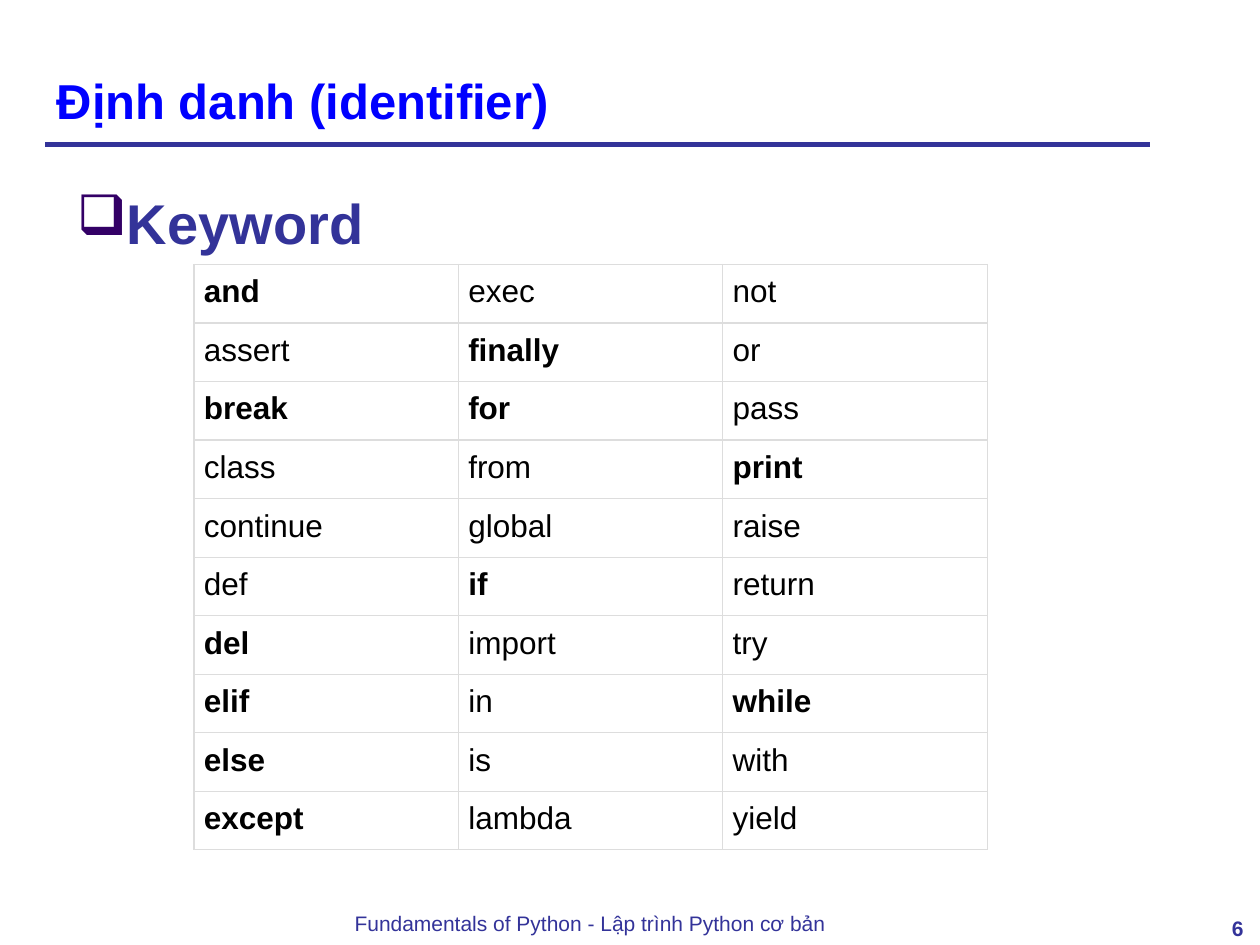
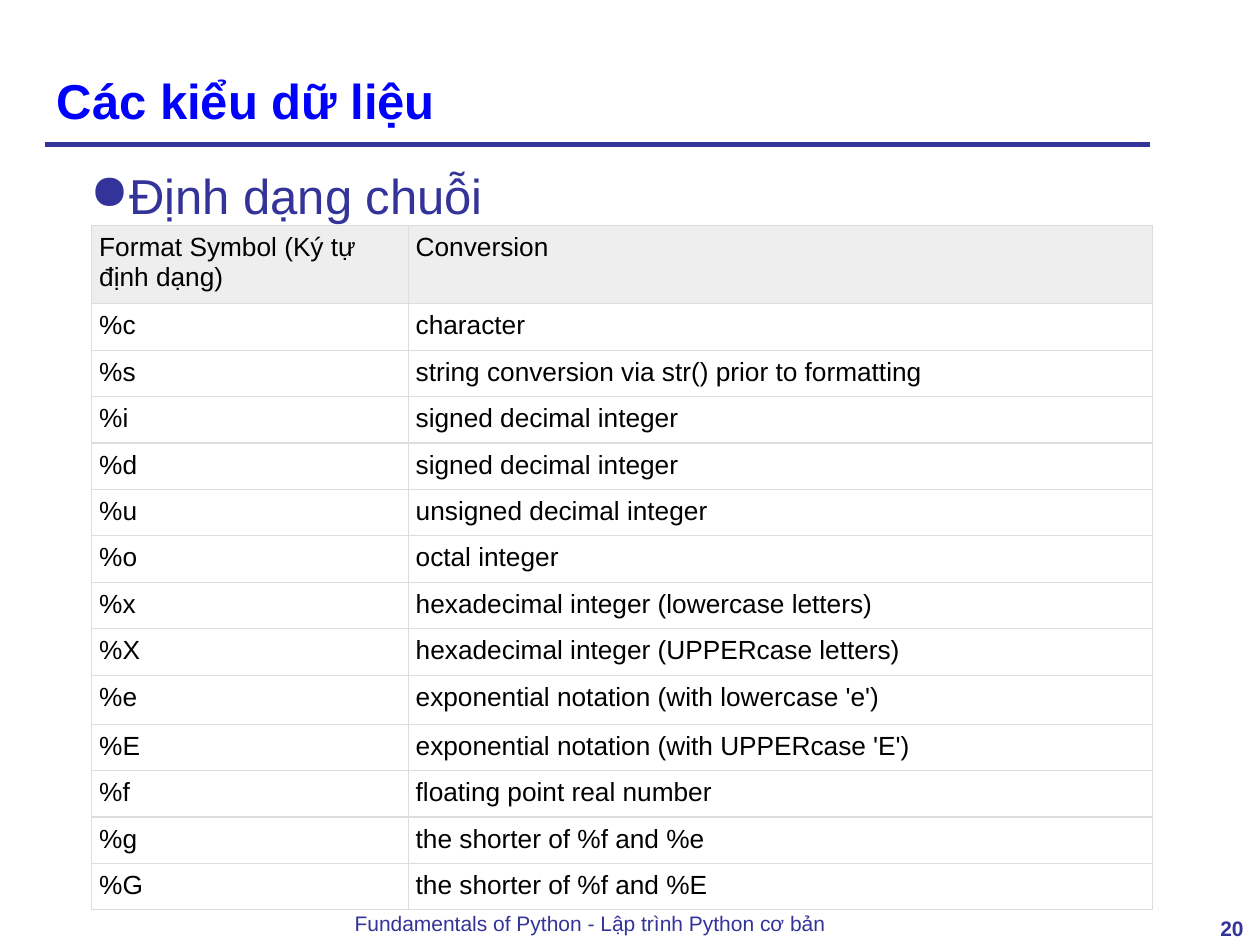
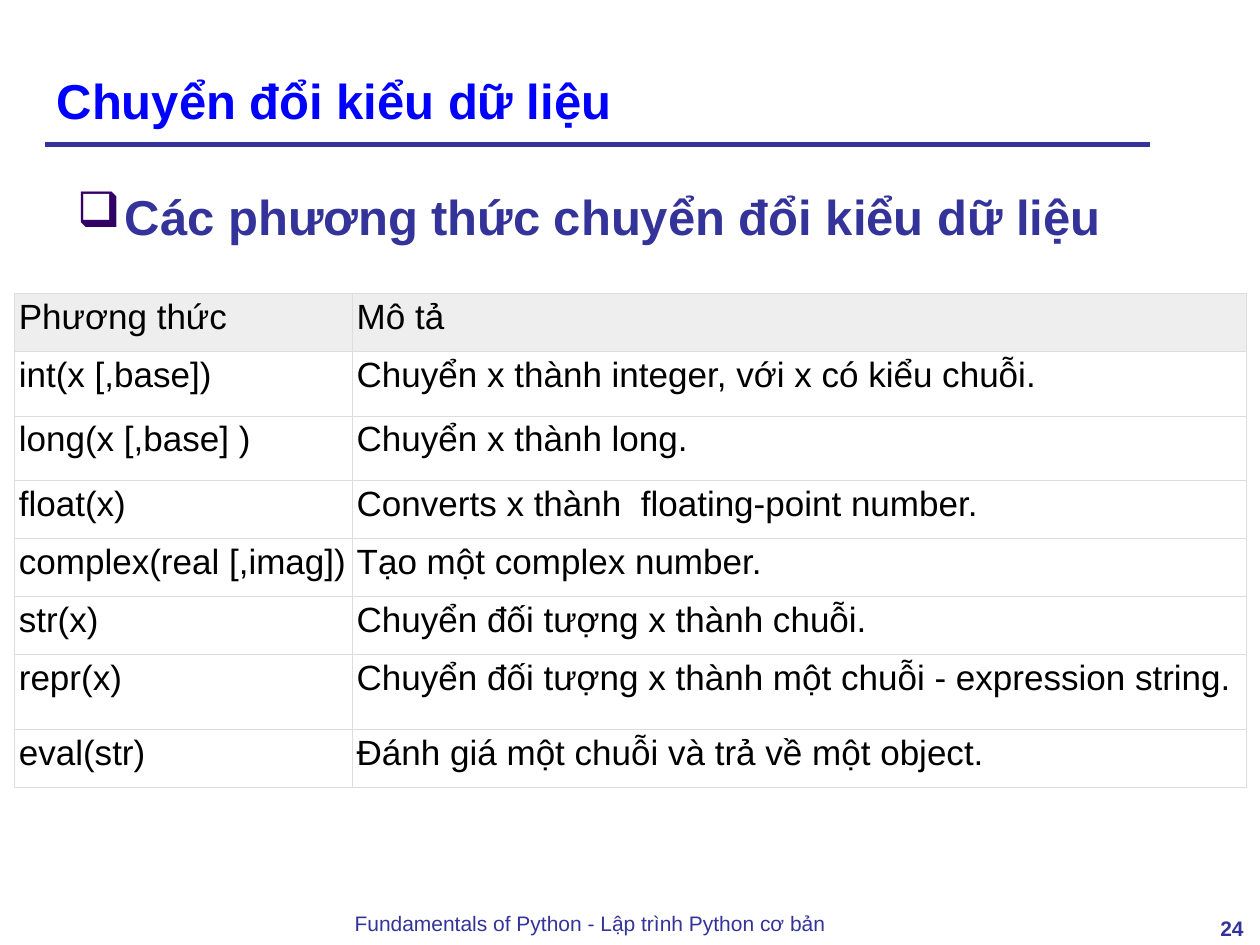
from lxml import etree
from pptx import Presentation
from pptx.dml.color import RGBColor
from pptx.enum.shapes import MSO_CONNECTOR
from pptx.enum.text import MSO_ANCHOR, MSO_AUTO_SIZE, PP_ALIGN
from pptx.oxml import parse_xml
from pptx.oxml.ns import qn
from pptx.util import Cm, Pt

LEFT, CENTER, RIGHT, JUST = PP_ALIGN.LEFT, PP_ALIGN.CENTER, PP_ALIGN.RIGHT, PP_ALIGN.JUSTIFY
BOTTOM, NO_FIT, STRAIGHT = MSO_ANCHOR.BOTTOM, MSO_AUTO_SIZE.NONE, MSO_CONNECTOR.STRAIGHT
NAVY, BLUE, PLUM, BLACK, GRID, HEAD = "333399", "0000FF", "330066", "000000", "DDDDDD", "EEEEEE"
FONT = "Arial"
FOOTER = "Fundamentals of Python - Lập trình Python cơ bản"
NS = 'xmlns:a="http://schemas.openxmlformats.org/drawingml/2006/main"'


def rgb(code):
    return RGBColor.from_string(code)


def write(frame, text, size, color, bold=False, align=LEFT):
    """Fill a text frame with one styled paragraph and return it."""
    frame.word_wrap = True
    para = frame.paragraphs[0]
    para.text, para.alignment = text, align
    font = para.font
    font.name, font.size, font.bold = FONT, Pt(size), bold
    font.color.rgb = rgb(color)
    return para


BOX = {"char": "❑", "tint": PLUM, "at": (1.3, 3.33), "indent": (0.97, -0.97), "bold": True}
DOT = {"char": "●", "tint": NAVY, "at": (0.3, 2.92), "indent": (1.93, -0.66), "bold": False}

STRONG = {"and", "finally", "break", "for", "print", "if", "del", "elif", "while", "else", "except"}

KEYWORDS = [
    ("and", "exec", "not"),
    ("assert", "finally", "or"),
    ("break", "for", "pass"),
    ("class", "from", "print"),
    ("continue", "global", "raise"),
    ("def", "if", "return"),
    ("del", "import", "try"),
    ("elif", "in", "while"),
    ("else", "is", "with"),
    ("except", "lambda", "yield"),
]
SYMBOLS = [
    ("Format Symbol (Ký tự định dạng)", "Conversion"),
    ("%c", "character"),
    ("%s", "string conversion via str() prior to formatting"),
    ("%i", "signed decimal integer"),
    ("%d", "signed decimal integer"),
    ("%u", "unsigned decimal integer"),
    ("%o", "octal integer"),
    ("%x", "hexadecimal integer (lowercase letters)"),
    ("%X", "hexadecimal integer (UPPERcase letters)"),
    ("%e", "exponential notation (with lowercase 'e')"),
    ("%E", "exponential notation (with UPPERcase 'E')"),
    ("%f", "floating point real number"),
    ("%g", "the shorter of %f and %e"),
    ("%G", "the shorter of %f and %E"),
]
METHODS = [
    ("Phương thức", "Mô tả"),
    ("int(x [,base])", "Chuyển x thành integer, với x có kiểu chuỗi."),
    ("long(x [,base] )", "Chuyển x thành long."),
    ("float(x)", "Converts x thành  floating-point number."),
    ("complex(real [,imag])", "Tạo một complex number."),
    ("str(x)", "Chuyển đối tượng x thành chuỗi."),
    ("repr(x)", "Chuyển đối tượng x thành một chuỗi - expression string."),
    ("eval(str)", "Đánh giá một chuỗi và trả về một object."),
]

# Lengths are in centimetres; "tall" lists the rows that differ from "row".
SLIDES = [
    {"page": "6", "title": "Định danh (identifier)", "point": "Keyword", "size": 32, "mark": BOX,
     "rows": KEYWORDS, "at": (3.91, 5.33), "cols": (5.33, 5.33, 5.33), "row": 1.18, "tall": {},
     "pad": 0.2, "text": 18, "head": False, "align": LEFT, "strong": STRONG},
    {"page": "20", "title": "Các kiểu dữ liệu", "point": "Định dạng chuỗi", "size": 28, "mark": DOT,
     "rows": SYMBOLS, "at": (1.85, 4.55), "cols": (6.38, 15.01), "row": 0.93,
     "tall": {0: 1.57, 9: 0.99},
     "pad": 0.15, "text": 15, "head": True, "align": LEFT, "strong": set()},
    {"page": "24", "title": "Chuyển đổi kiểu dữ liệu",
     "point": "Các phương thức chuyển đổi kiểu dữ liệu", "size": 28, "mark": BOX,
     "rows": METHODS, "at": (0.3, 5.92), "cols": (6.81, 18.01), "row": 1.17,
     "tall": {1: 1.3, 2: 1.3, 6: 1.51},
     "pad": 0.08, "text": 20, "head": True, "align": JUST, "strong": set()},
]

deck = Presentation()
deck.slide_width, deck.slide_height = Cm(25.4), Cm(19.05)

for data in SLIDES:
    slide = deck.slides.add_slide(deck.slide_layouts[5])
    shapes = slide.shapes

    # Title, rule, footer and page number
    title = shapes.title
    title.left, title.top, title.width, title.height = Cm(0.89), Cm(0.53), Cm(22), Cm(2.21)
    write(title.text_frame, data["title"], 28, BLUE, True)
    title.text_frame.vertical_anchor = BOTTOM
    title.text_frame.auto_size = NO_FIT

    rule = shapes.add_connector(STRAIGHT, Cm(0.91), Cm(2.92), Cm(23.19), Cm(2.92))
    rule.line.color.rgb, rule.line.width = rgb(NAVY), Pt(3)
    etree.SubElement(rule.line._get_or_add_ln().getparent(), qn("a:effectLst"))

    foot = shapes.add_textbox(Cm(1.4), Cm(18.24), Cm(21), Cm(0.61))
    write(foot.text_frame, FOOTER, 12, NAVY, align=CENTER)
    page = shapes.add_textbox(Cm(23.32), Cm(18.34), Cm(2), Cm(0.61))
    write(page.text_frame, data["page"], 12, NAVY, True, RIGHT)

    # Bulleted heading
    mark = data["mark"]
    left, top = mark["at"]
    body = shapes.add_textbox(Cm(left), Cm(top), Cm(22), Cm(14.4))
    para = write(body.text_frame, data["point"], data["size"], NAVY, mark["bold"])
    para.line_spacing = 1.25
    props = para._p.get_or_add_pPr()
    margin, hang = mark["indent"]
    props.set("marL", str(Cm(margin)))
    props.set("indent", str(Cm(hang)))
    style = props.find(qn("a:defRPr"))
    style.addprevious(parse_xml(
        f'<a:buClr {NS}><a:srgbClr val="{mark["tint"]}"/></a:buClr>'))
    style.addprevious(parse_xml(f'<a:buChar {NS} char="{mark["char"]}"/>'))

    # Table
    rows, cols = data["rows"], data["cols"]
    highs = [data["tall"].get(r, data["row"]) for r in range(len(rows))]
    left, top = data["at"]
    table = shapes.add_table(len(rows), len(cols), Cm(left), Cm(top),
                             Cm(sum(cols)), Cm(sum(highs))).table
    table.first_row = data["head"]
    table.horz_banding = False
    for col, wide in zip(table.columns, cols):
        col.width = Cm(wide)
    for r, words in enumerate(rows):
        table.rows[r].height = Cm(highs[r])
        top_row = data["head"] and r == 0
        for c, word in enumerate(words):
            cell = table.cell(r, c)
            pad = Cm(data["pad"])
            cell.margin_left = cell.margin_right = cell.margin_top = cell.margin_bottom = pad
            write(cell.text_frame, word, data["text"], BLACK, word in data["strong"],
                  LEFT if top_row else data["align"])
            edges = cell._tc.get_or_add_tcPr()
            for side in "LRTB":
                edges.append(parse_xml(
                    f'<a:ln{side} {NS} w="{Pt(0.75)}"><a:solidFill>'
                    f'<a:srgbClr val="{GRID}"/></a:solidFill></a:ln{side}>'))
            if top_row:
                cell.fill.solid()
                cell.fill.fore_color.rgb = rgb(HEAD)
            else:
                cell.fill.background()

deck.save("out.pptx")
